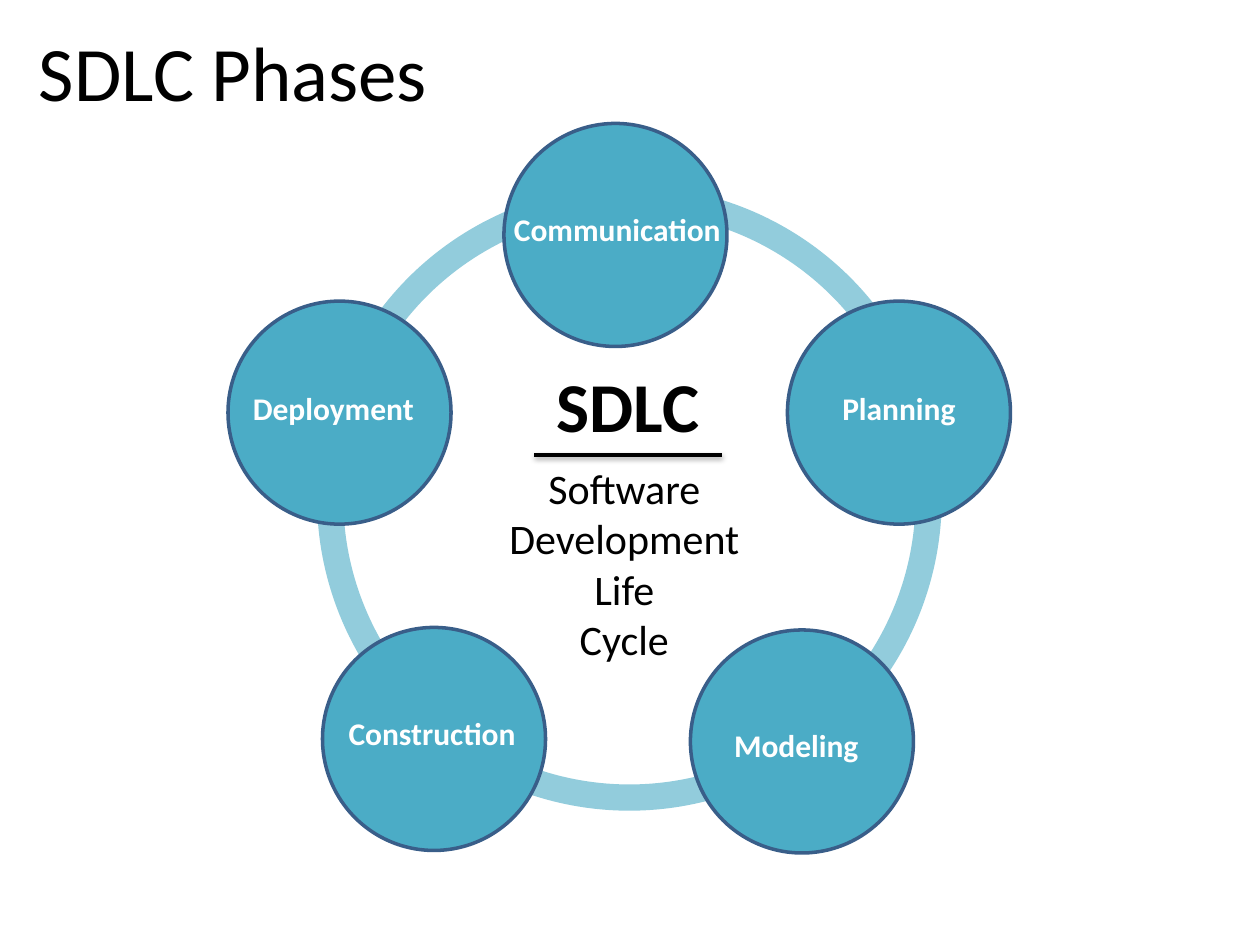
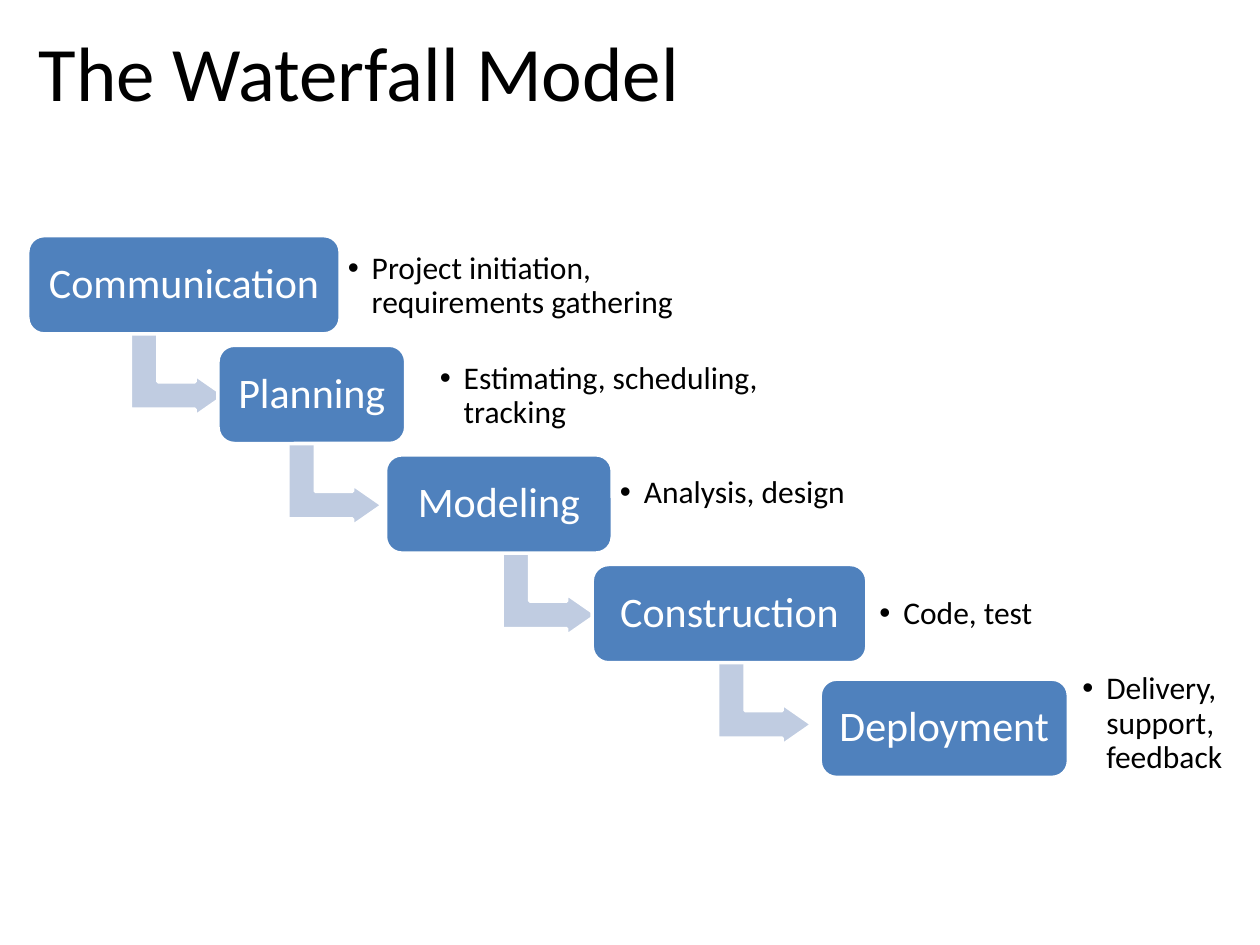
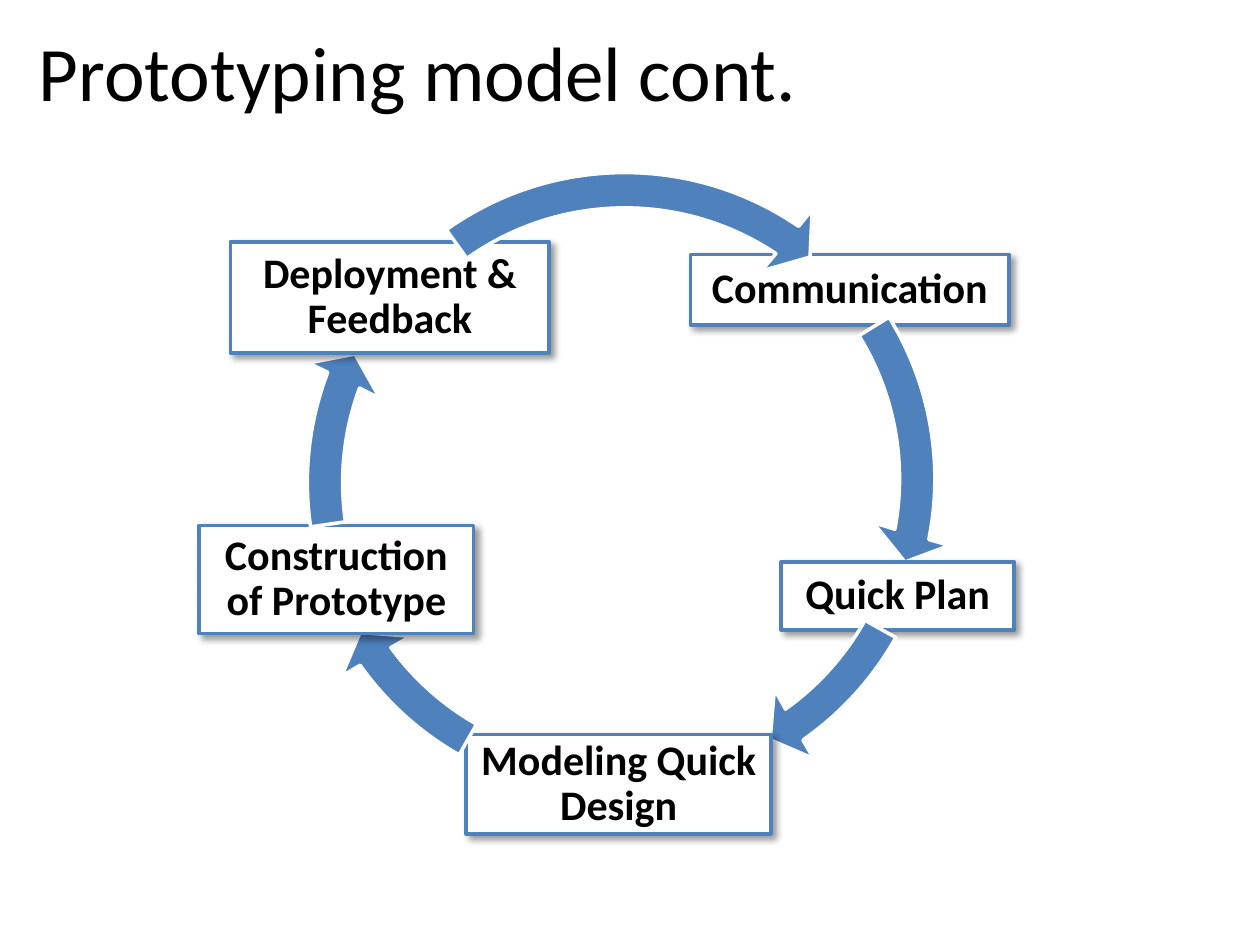
import math

from lxml import etree
from pptx import Presentation
from pptx import util as u
from pptx.dml.color import RGBColor
from pptx.enum import shapes, text
from pptx.oxml import ns

FONT = "Calibri"
BLACK, WHITE = "000000", "FFFFFF"
BLUE, PALE_BLUE = "4F81BD", "C0CCE1"
TEAL, PALE_TEAL, NAVY = "4BACC6", "92CCDC", "395E89"
CENTER, LEFT = text.PP_ALIGN.CENTER, text.PP_ALIGN.LEFT
MIDDLE, TOP = text.MSO_ANCHOR.MIDDLE, text.MSO_ANCHOR.TOP


def style(shape, fill, line, width=2, shadow=None):
    """Set fill and line; shadow is (opacity %, blur pt, distance pt, angle)."""
    if fill:
        shape.fill.solid()
        shape.fill.fore_color.rgb = RGBColor.from_string(fill)
    shape.line.color.rgb = RGBColor.from_string(line)
    shape.line.width = u.Pt(width)
    effects = etree.SubElement(shape.element.spPr, ns.qn("a:effectLst"))
    if shadow:
        opacity, blur, distance, angle = shadow
        outer = etree.SubElement(
            effects, ns.qn("a:outerShdw"), blurRad=str(u.Pt(blur)),
            dist=str(u.Pt(distance)), dir=str(angle * 60000), rotWithShape="0")
        color = etree.SubElement(outer, ns.qn("a:srgbClr"), val=BLACK)
        etree.SubElement(color, ns.qn("a:alpha"), val=str(opacity * 1000))


def write(shape, lines, size, color=BLACK, bold=False, align=CENTER, anchor=MIDDLE,
          margins=(0.1, 0.05), spacing=None, wrap=True, bullet=False):
    frame = shape.text_frame
    frame.word_wrap = wrap
    frame.vertical_anchor = anchor
    frame.margin_left = frame.margin_right = u.Inches(margins[0])
    frame.margin_top = frame.margin_bottom = u.Inches(margins[1])
    for index, line in enumerate(lines):
        para = frame.add_paragraph() if index else frame.paragraphs[0]
        para.alignment = align
        para.line_spacing = spacing
        if bullet:
            props = para._p.get_or_add_pPr()
            props.set("marL", str(u.Inches(0.19)))
            props.set("indent", str(u.Inches(-0.19)))
            etree.SubElement(props, ns.qn("a:buFont"), typeface="Arial")
            etree.SubElement(props, ns.qn("a:buChar"), char="•")
        span = para.add_run()
        span.text = line
        span.font.name = FONT
        span.font.size = u.Pt(size)
        span.font.bold = bold
        span.font.color.rgb = RGBColor.from_string(color)


deck = Presentation()
deck.slide_width, deck.slide_height = u.Inches(10), u.Inches(7.5)

pages = []
for title in ("SDLC Phases", "The Waterfall Model", "Prototyping model cont."):
    page = deck.slides.add_slide(deck.slide_layouts[6])
    box = page.shapes.add_textbox(*map(u.Inches, (0.21, 0.12, 9.58, 0.88)))
    write(box, [title], 44, align=LEFT)
    pages.append(page.shapes)
phases_page, waterfall_page, prototype_page = pages

# SDLC phases: circles on a ring
ring = phases_page.add_shape(shapes.MSO_SHAPE.OVAL,
                             *map(u.Inches, (2.62, 1.58, 4.75, 4.75)))
ring.fill.background()
style(ring, None, PALE_TEAL, 15)

# phase, circle left and top, label left, top and width
phases = [
    ("Communication", 4, 0.98, 3.97, 1.62, 1.86),
    ("Planning", 6.25, 2.39, 6.58, 3.04, 1.11),
    ("Modeling", 5.48, 5, 5.72, 5.71, 1.2),
    ("Construction", 2.56, 4.98, 2.66, 5.62, 1.54),
    ("Deployment", 1.81, 2.39, 1.9, 3.04, 1.49),
]
for phase, left, top, label_left, label_top, label_width in phases:
    circle = phases_page.add_shape(shapes.MSO_SHAPE.OVAL,
                                   *map(u.Inches, (left, top, 1.77, 1.77)))
    style(circle, TEAL, NAVY)
    label = phases_page.add_textbox(
        *map(u.Inches, (label_left, label_top, label_width, 0.4)))
    write(label, [phase], 18, WHITE, bold=True, anchor=TOP, wrap=False)

acronym = phases_page.add_textbox(*map(u.Inches, (4.31, 2.83, 1.35, 0.77)))
write(acronym, ["SDLC"], 40, bold=True, anchor=TOP, wrap=False)
meaning = phases_page.add_textbox(*map(u.Inches, (3.91, 3.62, 2.09, 1.72)))
write(meaning, ["Software", "Development", "Life", "Cycle"], 24, anchor=TOP)
underline = phases_page.add_connector(shapes.MSO_CONNECTOR.STRAIGHT,
                                      *map(u.Inches, (4.24, 3.61, 5.73, 3.61)))
style(underline, None, BLACK, shadow=(38, 3.1, 1.6, 90))

# Waterfall: step, left, top, width, note, note left, top and width, arrow left
steps = [
    ("Communication", 0.22, 1.87, 2.48,
     "Project initiation, requirements gathering", 2.69, 1.96, 2.89, 1.08),
    ("Planning", 1.73, 2.74, 1.49,
     "Estimating, scheduling, tracking", 3.42, 2.83, 2.95, 2.33),
    ("Modeling", 3.06, 3.61, 1.8, "Analysis, design", 4.85, 3.6, 2.12, 4.03),
    ("Construction", 4.7, 4.48, 2.18, "Code, test", 6.91, 4.56, 1.66, 5.74),
    ("Deployment", 6.51, 5.39, 1.97,
     "Delivery, support, feedback", 8.52, 5.43, 1.27, None),
]
for step, left, top, width, note, note_left, note_top, note_width, arrow_left in steps:
    if arrow_left:
        arrow = waterfall_page.add_shape(
            shapes.MSO_SHAPE.BENT_UP_ARROW,
            *map(u.Inches, (arrow_left, top + 0.73, 0.66, 0.75)))
        arrow.rotation = 90
        for index, ratio in enumerate((0.33, 0.25, 0.36)):
            arrow.adjustments[index] = ratio
        style(arrow, PALE_BLUE, WHITE)
    block = waterfall_page.add_shape(shapes.MSO_SHAPE.ROUNDED_RECTANGLE,
                                     *map(u.Inches, (left, top, width, 0.78)))
    style(block, BLUE, WHITE)
    write(block, [step], 24, WHITE, margins=(0.1, 0.1), spacing=0.9, wrap=False)
    box = waterfall_page.add_textbox(
        *map(u.Inches, (note_left, note_top, note_width, 0.63)))
    write(box, [note], 18, align=LEFT, margins=(0.07, 0.07), spacing=0.9, bullet=True)

# Prototyping cycle: stage, box, then centre, start and tip angle of its arrow
stages = [
    ("Communication", (5.48, 2.02, 2.53, 0.56), 4.98, 3.8, -31.7, 16.7),
    ("Quick Plan", (6.2, 4.46, 1.85, 0.54), 4.98, 3.87, 29.2, 60.5),
    ("Modeling Quick Design", (3.7, 5.83, 2.42, 0.79), 4.85, 3.87, 119.6, 150),
    ("Construction of Prototype", (1.58, 4.17, 2.18, 0.86), 4.88, 3.83, 171.7, 206.3),
    ("Deployment & Feedback", (1.83, 1.92, 2.53, 0.88), 4.96, 3.81, 234.5, 309.7),
]
OUTER, INNER, FRAME = 2.44, 2.16, 2.62
for stage, place, center_x, center_y, start, tip in stages:
    box = prototype_page.add_shape(shapes.MSO_SHAPE.RECTANGLE, *map(u.Inches, place))
    style(box, WHITE, BLUE, shadow=(40, 4, 3, 45))
    write(box, [stage], 24, bold=True, margins=(0.03, 0.03), spacing=0.9)

    # Each arc is one cubic curve: end, two control points, end
    arcs = []
    for radius, begin, end in ((OUTER, start, tip - 5.3), (INNER, tip - 6, start)):
        reach = 4 / 3 * math.tan(math.radians(end - begin) / 4)
        control_radius = radius * math.hypot(1, reach)
        turn = math.degrees(math.atan(reach))
        arcs.append([(radius, begin), (control_radius, begin + turn),
                     (control_radius, end - turn), (radius, end)])
    head = [(2.61, tip - 5), (2.3, tip), (1.98, tip - 6.6)]
    points = [(u.Inches(center_x + radius * math.cos(math.radians(angle))),
               u.Inches(center_y + radius * math.sin(math.radians(angle))))
              for radius, angle in arcs[0] + head + arcs[1]]
    outline = prototype_page.build_freeform(*points[0])
    outline.add_line_segments(points[1:], close=True)
    # The frame spans the full circle, so its corners set the extent
    for side in (-FRAME, FRAME):
        outline.move_to(u.Inches(center_x + side), u.Inches(center_y + side))
    arrow = outline.convert_to_shape()
    outline_xml = next(arrow.element.iter(ns.qn("a:path")))
    for corner in outline_xml.findall(ns.qn("a:moveTo"))[1:]:
        outline_xml.remove(corner)
    segments = outline_xml.findall(ns.qn("a:lnTo"))
    for trio in (segments[:3], segments[-3:]):
        curve = etree.Element(ns.qn("a:cubicBezTo"))
        trio[0].addprevious(curve)
        for segment in trio:
            curve.append(segment[0])
            outline_xml.remove(segment)
    style(arrow, BLUE, WHITE)

deck.save("out.pptx")
